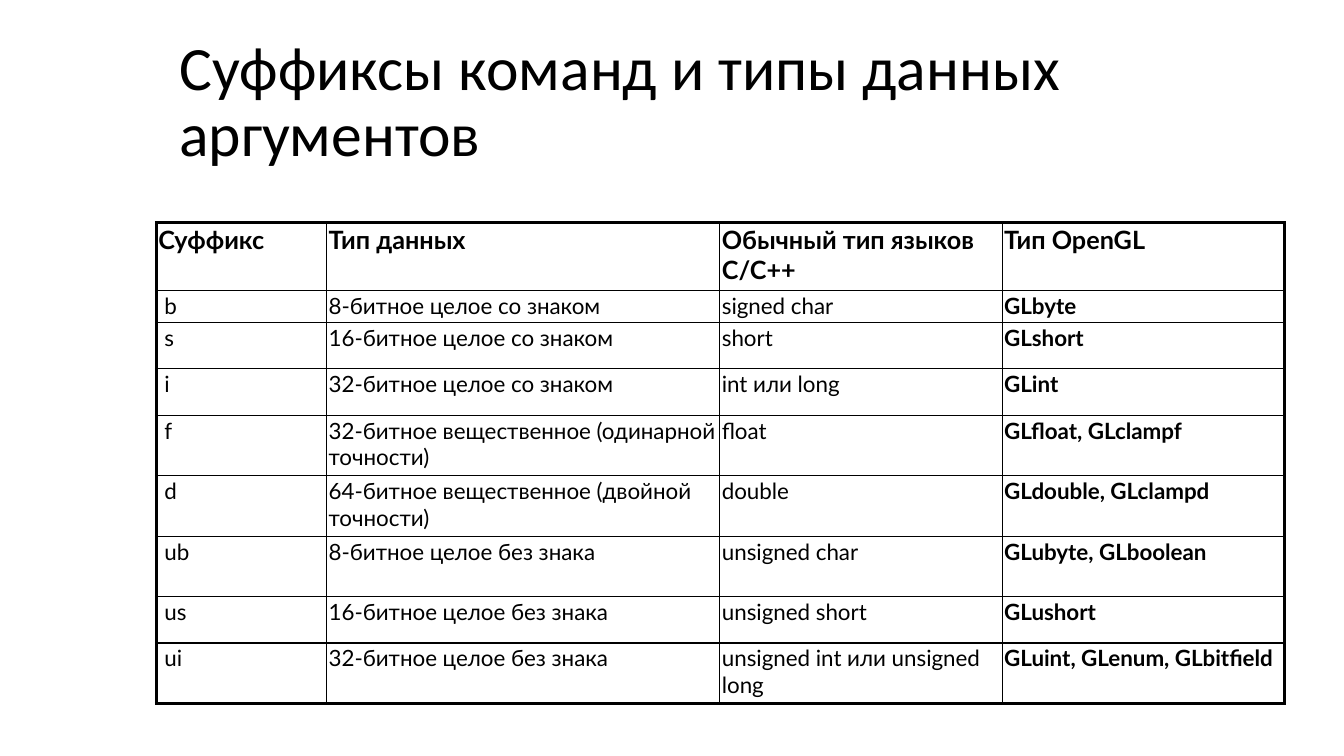
from dataclasses import dataclass

from lxml.etree import SubElement
from pptx import Presentation
from pptx.dml.color import RGBColor as RGB
from pptx.enum.text import MSO_ANCHOR as Anchor
from pptx.oxml.ns import qn
from pptx.util import Inches, Pt


@dataclass(frozen=True)
class Theme:
    ink: str = "000000"
    title_font: str = "Calibri"
    table_font: str = "Lato"
    title_size: float = 44
    header_size: float = 18
    body_size: float = 16
    inner_line: float = 1
    outer_line: float = 2.25


@dataclass(frozen=True)
class TypeRow:
    height: float
    suffix: str
    data_type: str
    c_type: str
    gl_type: str

    @property
    def texts(self) -> tuple[str, ...]:
        return self.suffix, self.data_type, self.c_type, self.gl_type


THEME = Theme()
TITLE = "Суффиксы команд и типы данных аргументов"
COL_WIDTHS = (1.69, 3.9, 2.8, 2.8)
ROWS = (
    TypeRow(0.67, "Суффикс", "Тип данных", "Обычный тип языков C/C++", "Тип OpenGL"),
    TypeRow(0.32, "b", "8-битное целое со знаком", "signed char", "GLbyte"),
    TypeRow(0.46, "s", "16-битное целое со знаком", "short", "GLshort"),
    TypeRow(0.46, "i", "32-битное целое со знаком", "int или long", "GLint"),
    TypeRow(0.6, "f", "32-битное вещественное (одинарной точности)", "float",
            "GLfloat, GLclampf"),
    TypeRow(0.6, "d", "64-битное вещественное (двойной точности)", "double",
            "GLdouble, GLclampd"),
    TypeRow(0.6, "ub", "8-битное целое без знака", "unsigned char", "GLubyte, GLboolean"),
    TypeRow(0.46, "us", "16-битное целое без знака", "unsigned short", "GLushort"),
    TypeRow(0.6, "ui", "32-битное целое без знака", "unsigned int или unsigned long",
            "GLuint, GLenum, GLbitfield"),
)


def style_font(p, name: str, size: float, bold: bool = False) -> None:
    p.font.name = name
    p.font.size = Pt(size)
    p.font.bold = bold
    p.font.color.rgb = RGB.from_string(THEME.ink)


def add_title(slide) -> None:
    sp = slide.shapes.add_textbox(Inches(1.68), Inches(0.23), Inches(11.36), Inches(1.6))
    tf = sp.text_frame
    tf.word_wrap = True
    tf.vertical_anchor = Anchor.MIDDLE
    p = tf.paragraphs[0]
    p.text = TITLE
    p.line_spacing = 0.9
    style_font(p, THEME.title_font, THEME.title_size)


def set_borders(cell, row: int, col: int) -> None:
    # The outer frame is heavier than the inner grid
    on_edge = {
        "lnL": col == 0,
        "lnR": col == len(COL_WIDTHS) - 1,
        "lnT": row == 0,
        "lnB": row == len(ROWS) - 1,
    }
    tc_pr = cell._tc.get_or_add_tcPr()
    for side, outer in on_edge.items():
        width = THEME.outer_line if outer else THEME.inner_line
        ln = SubElement(tc_pr, qn(f"a:{side}"), w=str(Pt(width)))
        fill = SubElement(ln, qn("a:solidFill"))
        SubElement(fill, qn("a:srgbClr"), val=THEME.ink)


def fill_cell(cell, text: str, row: int, col: int) -> None:
    header = row == 0
    set_borders(cell, row, col)
    cell.fill.background()
    cell.margin_left = Inches(0.08 if col == 0 and not header else 0.02)
    cell.margin_right = cell.margin_top = cell.margin_bottom = Inches(0.02)
    p = cell.text_frame.paragraphs[0]
    p.text = text
    size = THEME.header_size if header else THEME.body_size
    style_font(p, THEME.table_font, size, header or col == len(COL_WIDTHS) - 1)


def add_type_table(slide) -> None:
    frame = slide.shapes.add_table(
        len(ROWS), len(COL_WIDTHS), Inches(1.55), Inches(2.21),
        Inches(sum(COL_WIDTHS)), Inches(sum(row.height for row in ROWS)))
    table = frame.table
    table.first_row = table.horz_banding = False
    for column, width in zip(table.columns, COL_WIDTHS):
        column.width = Inches(width)
    for r, row in enumerate(ROWS):
        table.rows[r].height = Inches(row.height)
        for c, text in enumerate(row.texts):
            fill_cell(table.cell(r, c), text, r, c)


def main() -> None:
    prs = Presentation()
    prs.slide_width, prs.slide_height = Inches(13.33), Inches(7.5)
    slide = prs.slides.add_slide(prs.slide_layouts[6])
    add_title(slide)
    add_type_table(slide)
    prs.save("out.pptx")


if __name__ == "__main__":
    main()
